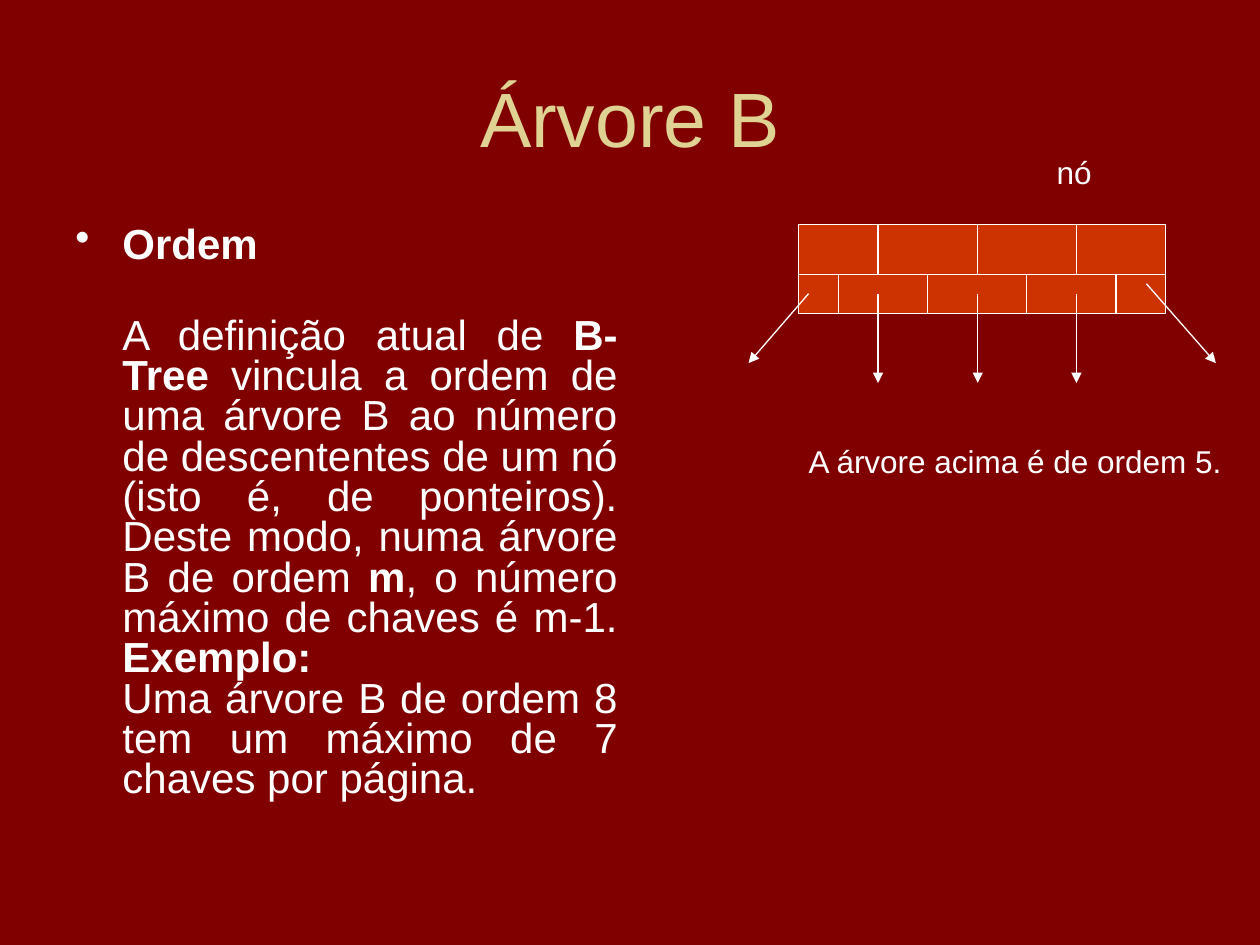
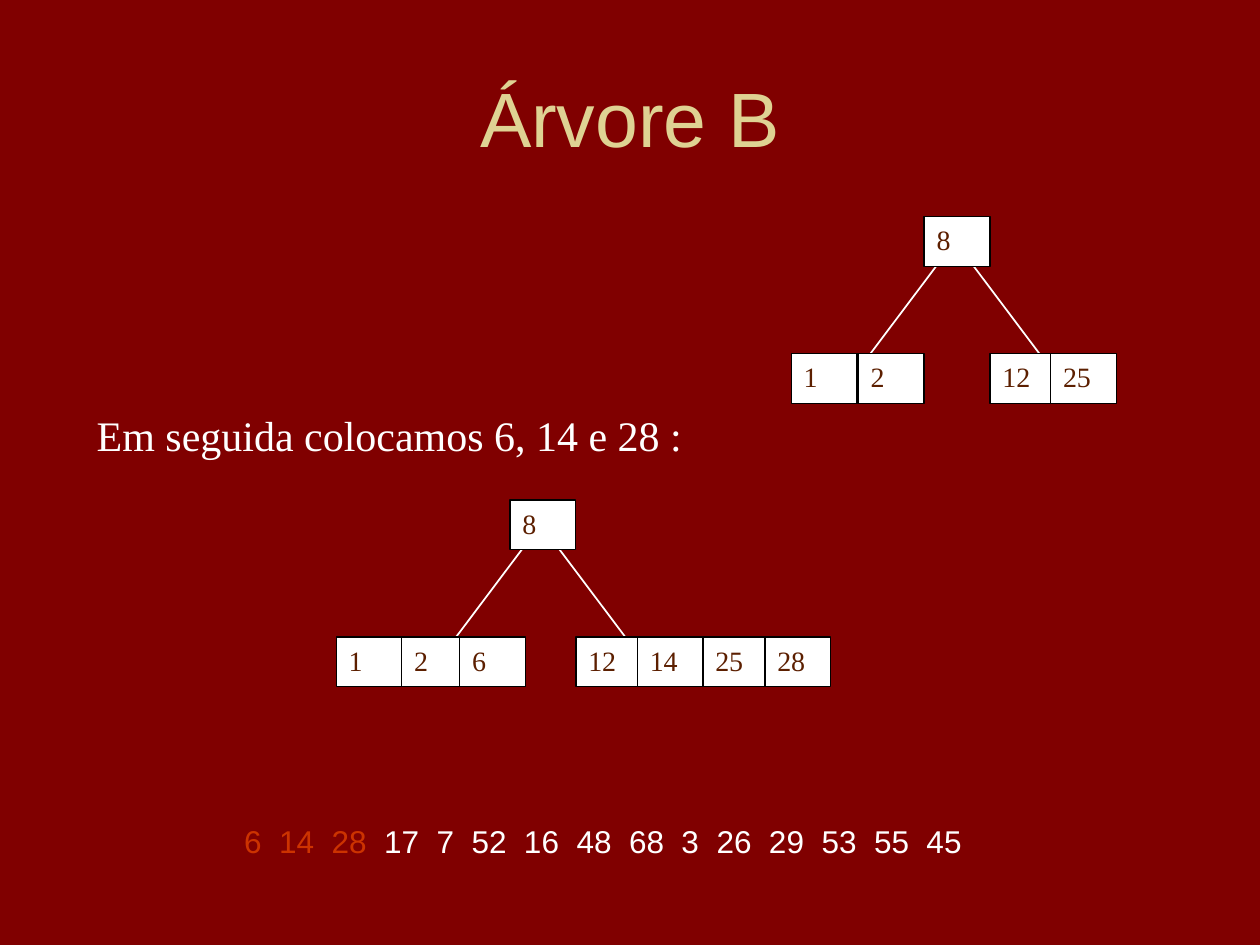
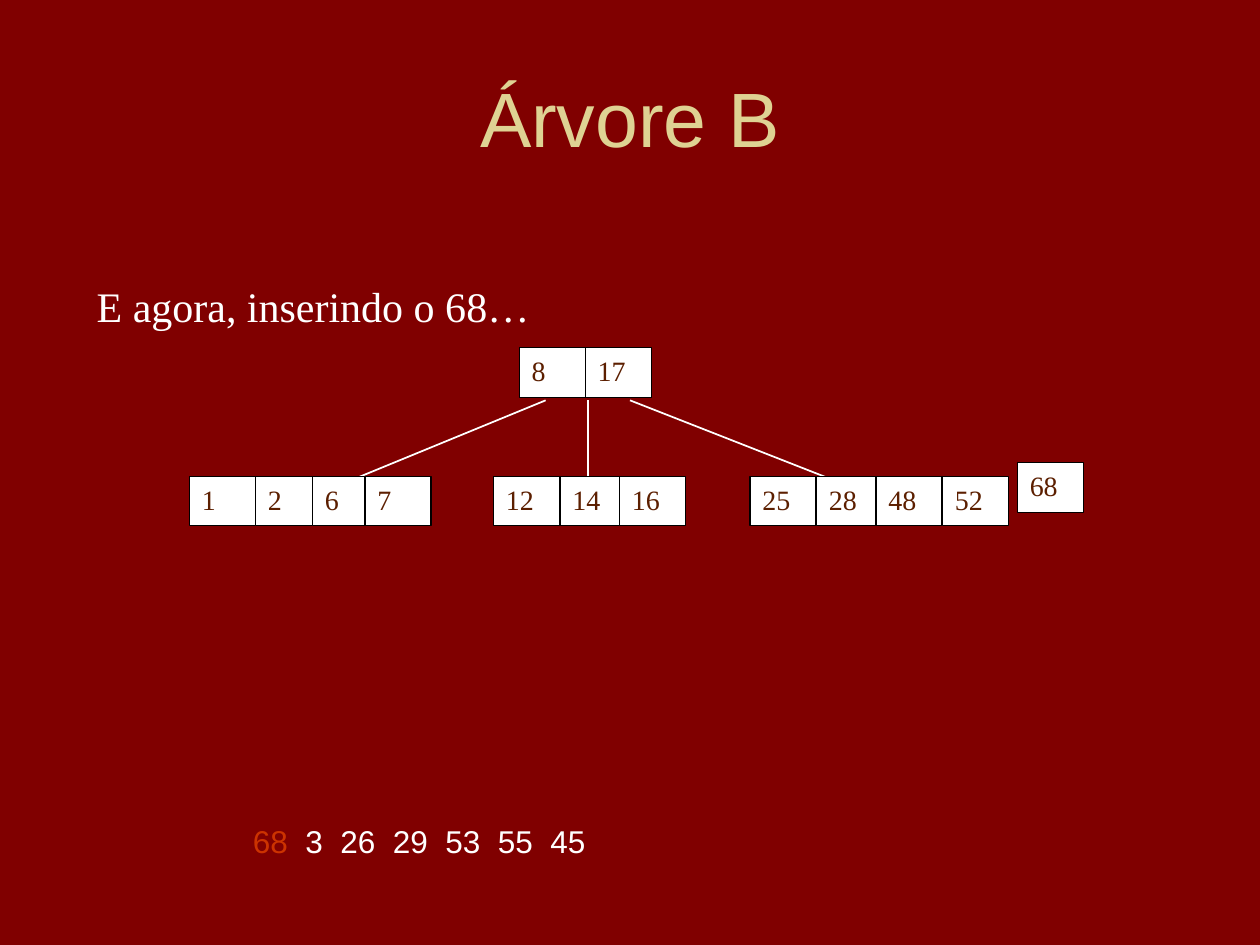
from pptx import Presentation
from pptx.dml.color import RGBColor
from pptx.enum.shapes import MSO_CONNECTOR, MSO_SHAPE
from pptx.enum.text import MSO_ANCHOR, PP_ALIGN
from pptx.oxml.ns import qn
from pptx.util import Cm, Pt
from lxml import etree

STRAIGHT = MSO_CONNECTOR.STRAIGHT
RECTANGLE = MSO_SHAPE.RECTANGLE
TOP, MIDDLE = MSO_ANCHOR.TOP, MSO_ANCHOR.MIDDLE
LEFT, CENTER, JUSTIFY = PP_ALIGN.LEFT, PP_ALIGN.CENTER, PP_ALIGN.JUSTIFY

MAROON = RGBColor(0x80, 0x00, 0x00)
SAND = RGBColor(0xDF, 0xD2, 0x93)
ORANGE = RGBColor(0xCC, 0x33, 0x00)
BROWN = RGBColor(0x5C, 0x1F, 0x00)
WHITE = RGBColor(0xFF, 0xFF, 0xFF)
BLACK = RGBColor(0x00, 0x00, 0x00)

SANS, SERIF = "Arial", "Times New Roman"
CELL_W, CELL_H = 1.33, 1
BREAK = "\n"


class Deck:
    """Holds the shared style and the slide being filled; lengths are in cm."""

    def __init__(self):
        self.prs = Presentation()
        self.prs.slide_width, self.prs.slide_height = Cm(25.4), Cm(19.05)
        fill = self.prs.slide_master.background.fill
        fill.solid()
        fill.fore_color.rgb = MAROON

    def new_slide(self, title):
        self.s = self.prs.slides.add_slide(self.prs.slide_layouts[6])
        tf = self.text_frame(1.27, 0.76, 22.86, 3.18, anchor=MIDDLE)
        p = tf.paragraphs[0]
        p.alignment = CENTER
        self.run(p, title, 44, color=SAND)

    def text_frame(self, left, top, width, height, anchor=TOP):
        box = self.s.shapes.add_textbox(Cm(left), Cm(top), Cm(width), Cm(height))
        tf = box.text_frame
        tf.word_wrap = True
        tf.vertical_anchor = anchor
        return tf

    def run(self, p, text, size, font=SANS, color=WHITE, bold=False):
        r = p.add_run()
        r.text = text
        r.font.size, r.font.name, r.font.bold = Pt(size), font, bold
        r.font.color.rgb = color

    def label(self, text, left, top, width, size=18, font=SANS):
        tf = self.text_frame(left, top, width, 1.02)
        self.run(tf.paragraphs[0], text, size, font)

    def body(self, paragraphs):
        """Each paragraph is (bullet, space before, [(text, bold), ...])."""
        tf = self.text_frame(1.27, 4.45, 11.43, 12.57)
        for i, (bullet, space, runs) in enumerate(paragraphs):
            p = tf.add_paragraph() if i else tf.paragraphs[0]
            pPr = p._p.get_or_add_pPr()
            pPr.set("marL", str(Cm(0.95)))
            pPr.set("indent", str(Cm(-0.95 if bullet else 0)))
            if bullet:
                etree.SubElement(pPr, qn("a:buChar"), char=bullet)
            p.alignment = JUSTIFY
            p.line_spacing = 0.8
            p.space_before = Pt(space)
            for text, bold in runs:
                if text == BREAK:
                    p.add_line_break()
                else:
                    self.run(p, text, 24, bold=bold)

    def queue(self, left, current, waiting):
        """Lists the keys being inserted, then the waiting ones, on tab stops."""
        p = self.text_frame(left, 16.54, 20, 0.94).paragraphs[0]
        tabs = etree.SubElement(p._p.get_or_add_pPr(), qn("a:tabLst"))
        p.line_spacing = 0.9
        stop = 0
        for i, key in enumerate(current + waiting):
            color = ORANGE if i < len(current) else WHITE
            self.run(p, f"\t{key}" if i else key, 18, color=color)
            stop += 10 * (len(key) + 1)
            etree.SubElement(tabs, qn("a:tab"), pos=str(Pt(stop)), algn="l")

    def rect(self, left, top, width, height, fill, line):
        sp = self.s.shapes.add_shape(RECTANGLE, Cm(left), Cm(top), Cm(width), Cm(height))
        sp.shadow.inherit = False
        sp.fill.solid()
        sp.fill.fore_color.rgb = fill
        sp.line.color.rgb = line
        sp.line.width = Pt(0.75)
        return sp

    def line(self, x1, y1, x2, y2, width=0.75, arrow=False):
        cx = self.s.shapes.add_connector(STRAIGHT, Cm(x1), Cm(y1), Cm(x2), Cm(y2))
        cx.line.color.rgb = WHITE
        cx.line.width = Pt(width)
        if arrow:
            etree.SubElement(cx.line._get_or_add_ln(), qn("a:tailEnd"), type="triangle")
        etree.SubElement(cx._element.spPr, qn("a:effectLst"))

    def node(self, top, cells, origin=0):
        """Draws a row of key cells; cells maps each key to its left edge from origin."""
        for key, left in cells.items():
            sp = self.rect(origin + left, top, CELL_W, CELL_H, WHITE, BLACK)
            tf = sp.text_frame
            tf.vertical_anchor = TOP
            p = tf.paragraphs[0]
            p.alignment = LEFT
            self.run(p, key, 16, SERIF, BROWN)

    def small_tree(self, left, top, root, left_leaf, right_leaf):
        """Draws a root cell with two leaves, placed relative to the root."""
        for start, end in ((0.51, -1.4), (0.73, 2.64)):
            self.line(left + start, top + 0.64, left + end, top + 3.18, width=1)
        self.node(top + 2.76, left_leaf, left)
        self.node(top, {root: 0}, left)
        self.node(top + 2.76, right_leaf, left)


def order_slide(deck):
    deck.new_slide("Árvore B")
    deck.body([
        ("•", 0, [("Ordem", True)]),
        (None, 29, [
            ("A definição atual de ", False),
            ("B-Tree", True),
            (" vincula a ordem de uma árvore B ao número de descententes de um nó "
             "(isto é, de ponteiros). Deste modo, numa árvore B de ordem ", False),
            ("m", True),
            (", o número máximo de chaves é m-1.", False),
            (BREAK, False),
            ("Exemplo:", True),
            (BREAK, False),
            ("Uma árvore B de ordem 8 tem um máximo de 7 chaves por página.", False),
        ]),
    ])

    left, right, top, middle, bottom = 16.1, 23.49, 4.52, 5.54, 6.32
    key_edges = (17.7, 19.71, 21.7)
    deck.rect(left, top, right - left, bottom - top, ORANGE, WHITE)
    deck.line(left, middle, right, middle)
    for x in key_edges:
        deck.line(x, top, x, middle)
    for x in (16.9, 18.7, 20.7, 22.5):
        deck.line(x, middle, x, bottom)
    deck.line(16.3, 5.92, 15.09, 7.32, arrow=True)
    for x in key_edges:
        deck.line(x, 5.92, x, 7.72, arrow=True)
    deck.line(23.11, 5.72, 24.51, 7.32, arrow=True)
    deck.label("nó", 21.05, 2.97, 1.5)
    deck.label("A árvore acima é de ordem 5.", 16.05, 8.79, 9.2)


def first_keys_slide(deck):
    deck.new_slide("Árvore B")
    deck.queue(4.67, ["6", "14", "28"],
               ["17", "7", "52", "16", "48", "68", "3", "26", "29", "53", "55", "45"])
    deck.label("Em seguida colocamos 6, 14 e 28 :", 1.7, 8.13, 21.8, 24, SERIF)
    deck.small_tree(10.28, 10.08, "8", {"1": -3.5, "2": -2.18, "6": -1.01},
                    {"12": 1.33, "14": 2.57, "25": 3.89, "28": 5.14})
    deck.small_tree(18.63, 4.37, "8", {"1": -2.68, "2": -1.33}, {"12": 1.33, "25": 2.55})


def overflow_slide(deck):
    deck.new_slide("Árvore B")
    deck.queue(4.85, ["68"], ["3", "26", "29", "53", "55", "45"])
    deck.label("E agora, inserindo o 68…", 1.7, 5.54, 22.86, 24, SERIF)
    for x1, x2, y2 in ((11, 6.35, 9.98), (11.85, 11.85, 10.19), (12.7, 17.57, 9.98)):
        deck.line(x1, 8.07, x2, y2, width=1)
    deck.node(7.01, {"8": 10.47, "17": 11.8})
    for leaf in ({"1": 3.82, "2": 5.15, "6": 6.3, "7": 7.36},
                 {"12": 9.95, "14": 11.29, "16": 12.49},
                 {"25": 15.12, "28": 16.46, "48": 17.66, "52": 19}):
        deck.node(9.6, leaf)
    deck.node(9.33, {"68": 20.51})


def main():
    deck = Deck()
    order_slide(deck)
    first_keys_slide(deck)
    overflow_slide(deck)
    deck.prs.save("out.pptx")


if __name__ == "__main__":
    main()
